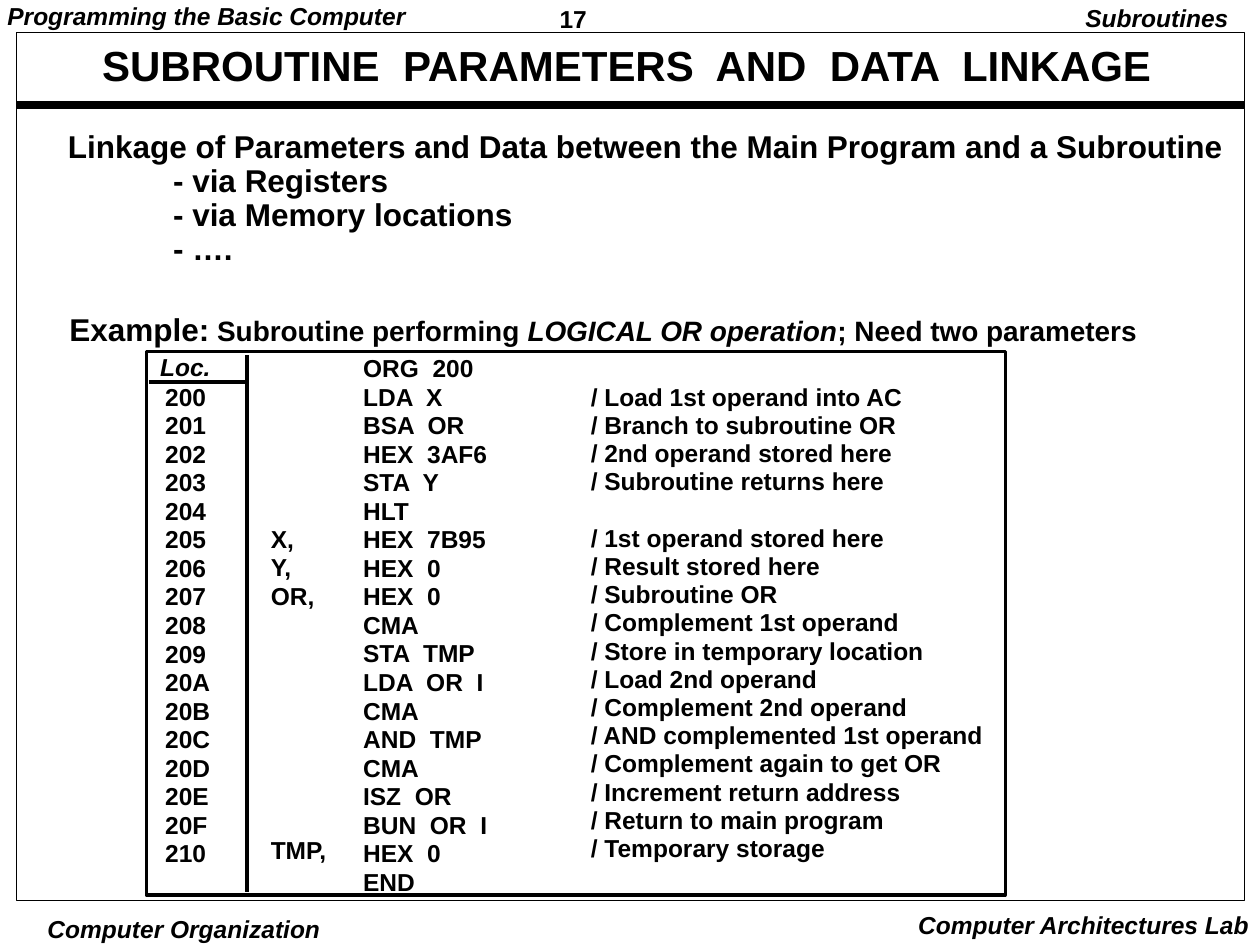
from lxml.etree import SubElement
from pptx import Presentation
from pptx.dml.color import RGBColor
from pptx.enum.shapes import MSO_CONNECTOR as Connector, MSO_SHAPE as Preset
from pptx.enum.text import MSO_ANCHOR as Anchor, MSO_AUTO_SIZE as AutoSize, PP_ALIGN as Align
from pptx.oxml.ns import qn
from pptx.util import Cm, Pt

BLACK = "000000"
ROW_PT = 16.3
ROW_CM = ROW_PT * 2.54 / 72
NARROW, WIDE, TIGHT = (0.18, 0.08), (0.25, 0.13), (0.08, 0.03)

PROGRAM = [
    ("", "", "ORG  200", ""),
    ("200", "", "LDA  X", "/ Load 1st operand into AC"),
    ("201", "", "BSA  OR", "/ Branch to subroutine OR"),
    ("202", "", "HEX  3AF6", "/ 2nd operand stored here"),
    ("203", "", "STA  Y", "/ Subroutine returns here"),
    ("204", "", "HLT", ""),
    ("205", "X,", "HEX  7B95", "/ 1st operand stored here"),
    ("206", "Y,", "HEX  0", "/ Result stored here"),
    ("207", "OR,", "HEX  0", "/ Subroutine OR"),
    ("208", "", "CMA", "/ Complement 1st operand"),
    ("209", "", "STA  TMP", "/ Store in temporary location"),
    ("20A", "", "LDA  OR  I", "/ Load 2nd operand"),
    ("20B", "", "CMA", "/ Complement 2nd operand"),
    ("20C", "", "AND  TMP", "/ AND complemented 1st operand"),
    ("20D", "", "CMA", "/ Complement again to get OR"),
    ("20E", "", "ISZ  OR", "/ Increment return address"),
    ("20F", "", "BUN  OR  I", "/ Return to main program"),
    ("210", "TMP,", "HEX  0", "/ Temporary storage"),
    ("", "", "END", ""),
]
COLUMNS = [(0.2, 1.27, 16.3), (2.33, 1.55, 16.14), (4.19, 2.87, 16.3), (8.78, 8.28, 16.14)]


def colour(value):
    return RGBColor.from_string(value)


def add_paragraph(frame, text, size=14, italic=False, align=Align.LEFT,
                  line=ROW_PT, before=0, indent=0):
    is_first = len(frame.paragraphs) == 1 and not frame.paragraphs[0].runs
    paragraph = frame.paragraphs[0] if is_first else frame.add_paragraph()
    if indent:
        paragraph._p.get_or_add_pPr().set("marL", str(Cm(indent)))
    paragraph.alignment = align
    paragraph.line_spacing = Pt(line)
    paragraph.space_before = Pt(before)
    pieces = [(text, size, italic)] if isinstance(text, str) else text
    for words, points, slanted in pieces:
        run = paragraph.add_run()
        run.text = words
        font = run.font
        font.name, font.size = "Arial", Pt(points)
        font.bold, font.italic = True, slanted
        font.color.rgb = colour(BLACK)


def set_frame(frame, insets, wrap=False, anchor=Anchor.TOP):
    frame.margin_left = frame.margin_right = Cm(insets[0])
    frame.margin_top = frame.margin_bottom = Cm(insets[1])
    frame.word_wrap = wrap
    frame.auto_size = AutoSize.NONE
    frame.vertical_anchor = anchor


def add_text(slide, box, text=None, insets=NARROW, **style):
    frame = slide.shapes.add_textbox(*map(Cm, box)).text_frame
    set_frame(frame, insets)
    if text:
        add_paragraph(frame, text, **style)
    return frame


def add_frame(slide, box, weight):
    border = slide.shapes.add_shape(Preset.RECTANGLE, *map(Cm, box))
    border.shadow.inherit = False
    border.fill.background()
    border.line.color.rgb = colour(BLACK)
    border.line.width = Pt(weight)


def add_rule(slide, ends, weight):
    rule = slide.shapes.add_connector(Connector.STRAIGHT, *map(Cm, ends))
    rule.line.color.rgb = colour(BLACK)
    rule.line.width = Pt(weight)
    SubElement(rule._element.spPr, qn("a:effectLst"))


def build_page(slide, box):
    left, top, width, height = box
    bottom = top + height
    add_text(slide, (left + 10.77, 0, 2.74, 0.74), "17", line=17)
    add_text(slide, (left - 0.36, 0, 8.38, 0.69), "Programming the Basic Computer",
             italic=True, line=15.1)
    add_text(slide, (left + 21.29, 0, 3.4, 0.79), "Subroutines", insets=WIDE,
             italic=True, align=Align.RIGHT, line=15.1)
    add_text(slide, (left + 0.56, bottom + 0.23, 5.64, 0.66), "Computer Organization",
             insets=TIGHT, italic=True, align=Align.CENTER, line=16.8)
    add_text(slide, (left + 17.91, bottom + 0.05, 7.19, 0.84), "Computer Architectures Lab",
             insets=WIDE, italic=True, align=Align.RIGHT, line=16.8)
    add_rule(slide, (left, top + 1.45, left + width, top + 1.45), 4.5)
    add_frame(slide, box, 0.5)


def build_title(slide, box):
    title = slide.shapes.title
    title.left, title.top, title.width, title.height = map(Cm, box)
    set_frame(title.text_frame, NARROW, wrap=True, anchor=Anchor.MIDDLE)
    add_paragraph(title.text_frame, "SUBROUTINE  PARAMETERS  AND  DATA  LINKAGE",
                  size=24, align=Align.CENTER, line=25.9)


def build_linkage(slide, box):
    frame = add_text(slide, box,
                     "Linkage of Parameters and Data between the Main Program and a Subroutine",
                     insets=WIDE, size=18, line=19.4)
    for way in ("- via Registers", "- via Memory locations", "- …."):
        add_paragraph(frame, way, size=18, line=19.4, indent=2.12)


def build_example(slide, box):
    add_text(slide, box, [
        ("Example:", 18, False),
        (" Subroutine performing ", 16, False),
        ("LOGICAL OR operation", 16, True),
        ("; Need two parameters", 16, False),
    ], line=21)


def build_column(slide, left, top, width, entries, pitch):
    filled = [(row, entry) for row, entry in enumerate(entries) if entry]
    first, last = filled[0][0], filled[-1][0]
    height = (last - first + 1) * ROW_CM + 2 * NARROW[1]
    frame = add_text(slide, (left, top + first * ROW_CM, width, height))
    previous = first - 1
    for row, entry in filled:
        add_paragraph(frame, entry, line=pitch, before=(row - previous - 1) * pitch)
        previous = row


def build_program(slide, box):
    left, top, width, height = box
    for entries, (offset, column_width, pitch) in zip(zip(*PROGRAM), COLUMNS):
        build_column(slide, left + offset, top - 0.03, column_width, entries, pitch)
    add_text(slide, (left + 0.1, top - 0.05, 1.37, 0.71), "Loc.", italic=True)
    add_frame(slide, box, 2)
    add_rule(slide, (left + 2.03, top + 0.07, left + 2.03, top + height - 0.06), 2)
    add_rule(slide, (left + 0.05, top + 0.61, left + 2, top + 0.61), 2)


def main():
    deck = Presentation()
    deck.slide_width, deck.slide_height = Cm(25.4), Cm(19.05)
    slide = deck.slides.add_slide(deck.slide_layouts[5])
    build_page(slide, (0.33, 0.66, 24.76, 17.5))
    build_title(slide, (1.14, 0.91, 22.99, 0.89))
    build_linkage(slide, (1.12, 2.51, 23.8, 3))
    build_example(slide, (1.22, 6.2, 22.05, 0.89))
    build_program(slide, (2.95, 7.09, 17.32, 10.95))
    deck.save("out.pptx")


if __name__ == "__main__":
    main()
